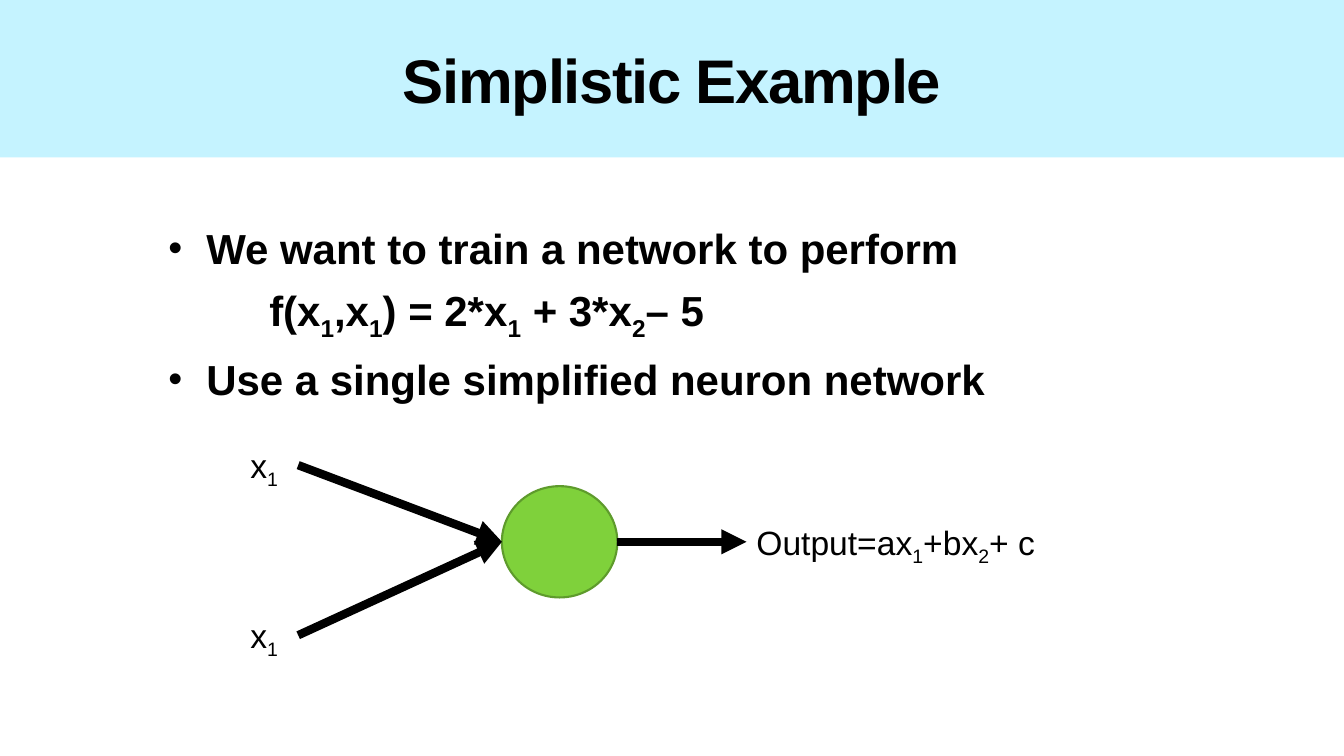
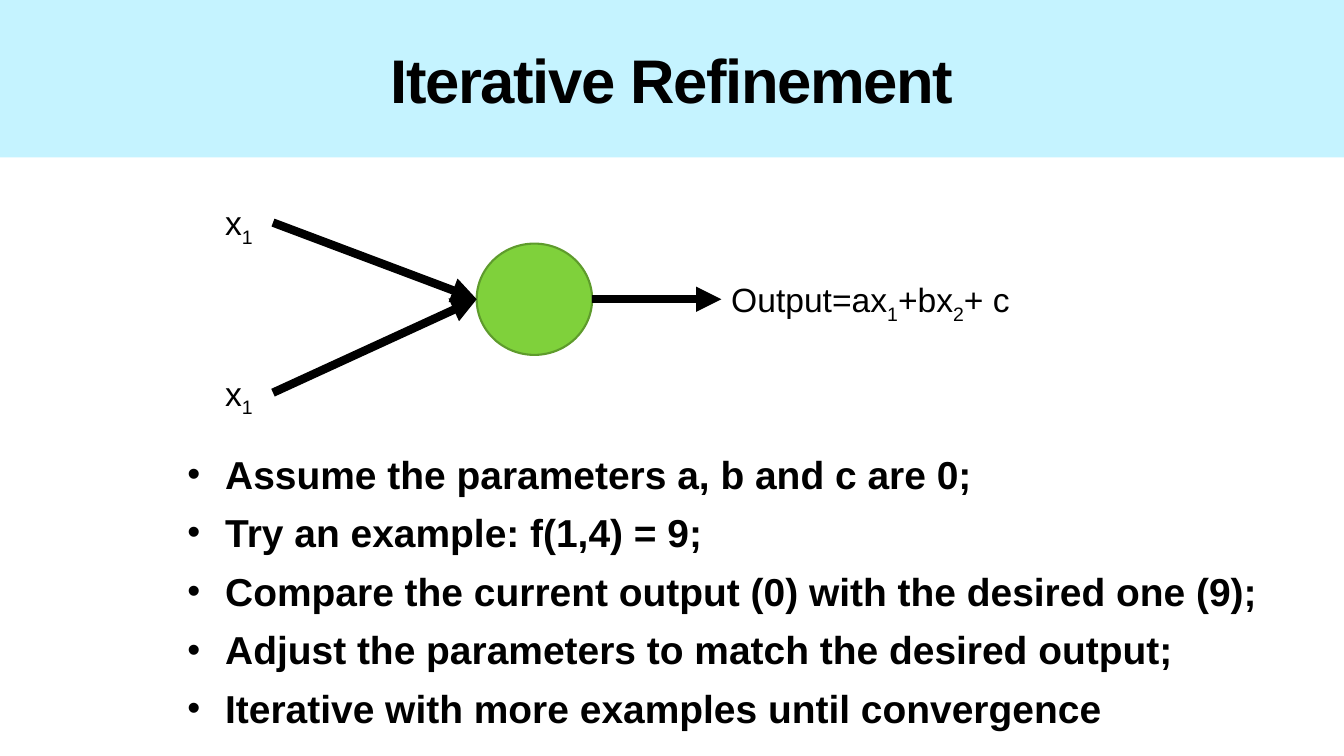
from dataclasses import dataclass
from lxml.etree import SubElement as Sub
from pptx import Presentation as Deck
from pptx.dml.color import RGBColor as Rgb
from pptx.enum.shapes import MSO_CONNECTOR as Line, MSO_SHAPE as Kind
from pptx.enum.text import MSO_ANCHOR as Anchor, PP_ALIGN as Align
from pptx.oxml.ns import qn
from pptx.util import Pt

SCALE = 9525
WIDE, HIGH = 1280, 720


@dataclass(frozen=True)
class Theme:
    font: str = "Arial"
    ink: str = "000000"
    band: str = "C5F3FF"
    cell: str = "7FD13B"
    edge: str = "5E9B2C"
    title: float = 44
    label: float = 24
    rim: float = 1.5
    arrow: float = 6
    gap: float = 8.5


THEME = Theme()


def px(*sizes):
    return [size * SCALE for size in sizes]


def paint(part, color):
    part.solid()
    part.fore_color.rgb = Rgb.from_string(color)


def bullet(props):
    Sub(props, qn("a:buSzPct"), val="95000")
    Sub(props, qn("a:buFont"), typeface=THEME.font)
    Sub(props, qn("a:buChar"), char="•")


def write(para, text, size=THEME.label, bold=False, track=0,
          align=Align.LEFT, inset=0, hang=0, gap=0, dot=False):
    para.alignment = align
    para.space_before = Pt(gap)
    props = para._p.get_or_add_pPr()
    props.set("marL", str(inset * SCALE))
    props.set("indent", str(-hang * SCALE))
    if dot:
        bullet(props)
    head, *rest = text.split("_")
    parts = [(head, 0)]
    for piece in rest:
        parts += [(piece[0], -25000), (piece[1:], 0)]
    for words, base in parts:
        if not words:
            continue
        run = para.add_run()
        run.text = words
        font = run.font
        font.name, font.size, font.bold = THEME.font, Pt(size), bold
        paint(font.fill, THEME.ink)
        if base:
            run._r.get_or_add_rPr().set("baseline", str(base))
        if track:
            run._r.get_or_add_rPr().set("spc", str(track))


def shape(slide, kind, box, fill):
    item = slide.shapes.add_shape(kind, *px(*box))
    item.shadow.inherit = False
    paint(item.fill, fill)
    return item


def frame(slide, box):
    item = slide.shapes.add_textbox(*px(*box))
    item.text_frame.word_wrap = True
    return item


def label(slide, box, text):
    item = frame(slide, box)
    write(item.text_frame.paragraphs[0], text)
    return item


def arrow(slide, start, end):
    item = slide.shapes.add_connector(Line.STRAIGHT, *px(*start, *end))
    paint(item.line.fill, THEME.ink)
    item.line.width = Pt(THEME.arrow)
    Sub(item.line._get_or_add_ln(), qn("a:tailEnd"), type="triangle")
    Sub(item._element.spPr, qn("a:effectLst"))
    return item


def header(slide, box, text):
    band = shape(slide, Kind.RECTANGLE, box, THEME.band)
    band.line.fill.background()
    band.text_frame.vertical_anchor = Anchor.MIDDLE
    write(band.text_frame.paragraphs[0], text, size=THEME.title,
          bold=True, track=-100, align=Align.CENTER)


def body(slide, box, size, lines):
    text = frame(slide, box).text_frame
    for i, (words, dot) in enumerate(lines):
        para = text.add_paragraph() if i else text.paragraphs[0]
        write(para, words, size=size, bold=True, dot=dot,
              inset=43 if dot else 103, hang=36 if dot else 0,
              gap=THEME.gap if i else 0)


def neuron(slide, left, top):
    wide, high, tall = 55, 48, 106
    mid = top + 97
    cell = left + 249
    right = cell + 110
    out = left + 482
    node = shape(slide, Kind.OVAL, (cell, mid - tall // 2, 110, tall),
                 THEME.cell)
    paint(node.line.fill, THEME.edge)
    node.line.width = Pt(THEME.rim)
    for y in (top, top + 162):
        name = label(slide, (left, y, wide, high), "x_1")
        link = arrow(slide, (left + wide, y + high // 2), (cell, mid))
        link.begin_connect(name, 3)
    sum_box = label(slide, (out, mid - high // 2, 388, high),
                    "Output=ax_1+bx_2+ c")
    arrow(slide, (right, mid), (out, mid)).end_connect(sum_box, 1)


def page(deck, title):
    slide = deck.slides.add_slide(deck.slide_layouts[6])
    header(slide, (0, 0, WIDE, 150), title)
    return slide


def main():
    deck = Deck()
    deck.slide_width, deck.slide_height = px(WIDE, HIGH)

    goal = page(deck, "Simplistic Example")
    body(goal, (144, 207, 1088, 480), 30, [
        ("We want to train a network to perform", True),
        ("f(x_1,x_1) = 2*x_1 + 3*x_2– 5", False),
        ("Use a single simplified neuron network", True),
    ])
    neuron(goal, 229, 419)

    steps = page(deck, "Iterative Refinement")
    body(steps, (162, 424, 1088, 275), 27.8, [
        (words, True) for words in (
            "Assume the parameters a, b and c are 0;",
            "Try an example: f(1,4) = 9;",
            "Compare the current output (0) with the desired one (9);",
            "Adjust the parameters to match the desired output;",
            "Iterative with more examples until convergence",
        )
    ])
    neuron(steps, 205, 188)

    deck.save("out.pptx")


if __name__ == "__main__":
    main()
